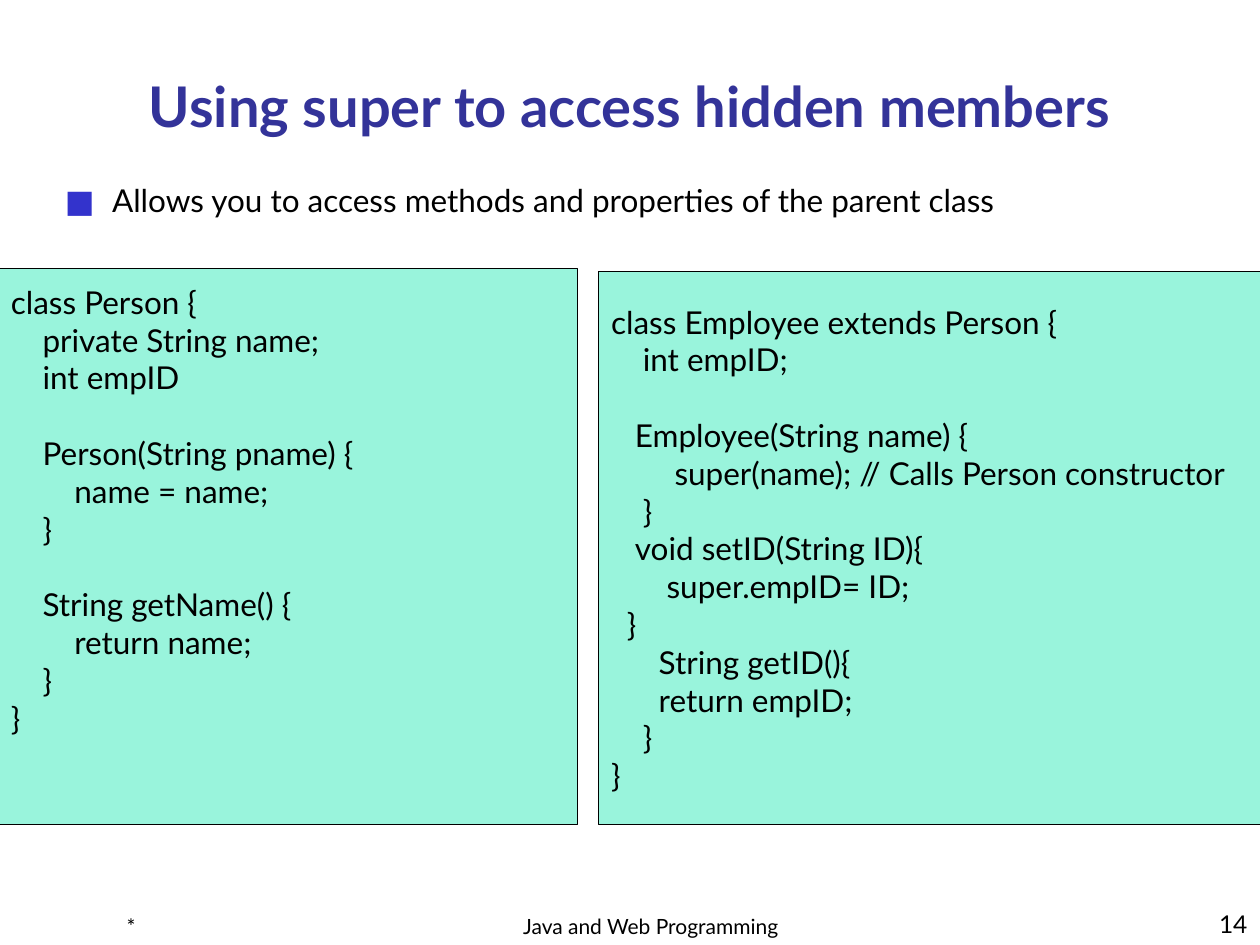
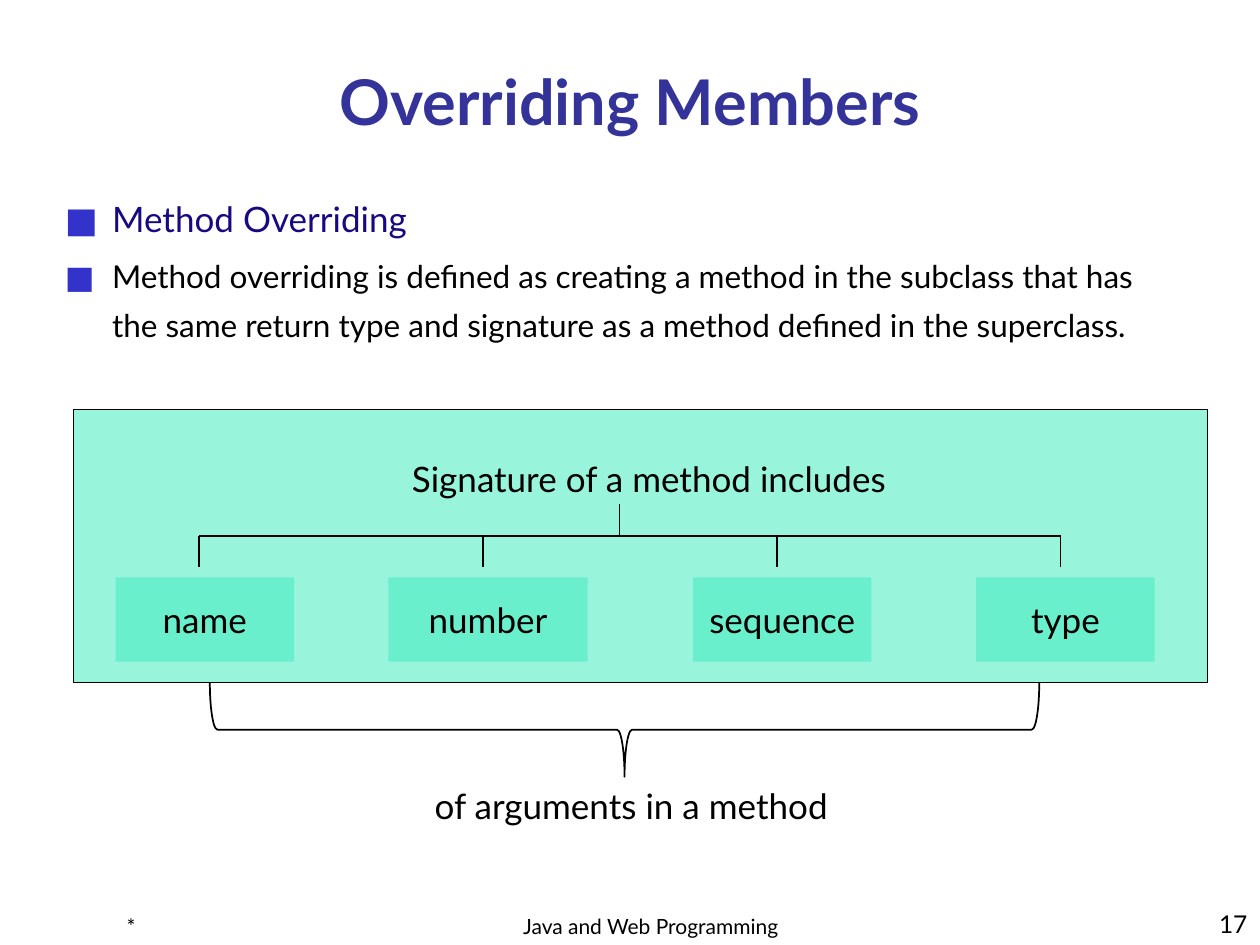
from lxml.etree import SubElement
from pptx import Presentation
from pptx.dml.color import RGBColor
from pptx.enum.shapes import MSO_CONNECTOR, MSO_SHAPE
from pptx.enum.text import MSO_ANCHOR, MSO_AUTO_SIZE, PP_ALIGN
from pptx.oxml.ns import qn
from pptx.util import Cm, Pt

# Shared look
FONT = "Lato"
BLACK, TITLE, HEADING = "000000", "333399", "170981"
BULLET, MINT = "3333CC", "00E4A8"
LEFT, CENTER, RIGHT = PP_ALIGN.LEFT, PP_ALIGN.CENTER, PP_ALIGN.RIGHT
TOP, MIDDLE, BOTTOM = MSO_ANCHOR.TOP, MSO_ANCHOR.MIDDLE, MSO_ANCHOR.BOTTOM
INDENT = 0.16      # width of one column of code, cm
CODE_LINE = 21.6   # height of one line of code, points

# Code listings: (columns of indent, text); None leaves a line free
PERSON = [
    (0, "class Person {"), (4, "private String name;"), (4, "int empID"),
    None,
    (4, "Person(String pname) {"), (8, "name = name;"), (4, "}"),
    None,
    (4, "String getName() {"), (8, "return name;"), (4, "}"), (0, "}"),
]
EMPLOYEE = [
    (0, "class Employee extends Person {"), (4, "int empID;"),
    None,
    (3, "Employee(String name) {"),
    (8, "super(name); // Calls Person constructor"), (4, "}"),
    (3, "void setID(String ID){"), (7, "super.empID= ID;"), (2, "}"),
    (6, "String getID(){"), (6, "return empID;"), (4, "}"), (0, "}"),
]

# Signature parts: name, left, width, branch position (cm, inside the panel)
PARTS = [
    ("name", 0.85, 3.6, 2.54),
    ("number", 6.35, 4.02, 8.26),
    ("sequence", 12.49, 3.6, 14.18),
    ("type", 18.2, 3.6, 19.9),
]


def color(value):
    return RGBColor.from_string(value)


def cm(*values):
    return [Cm(v) for v in values]


def add_run(p, text, size, ink=BLACK, bold=False):
    r = p.add_run()
    r.text = text
    r.font.name, r.font.size, r.font.bold = FONT, Pt(size), bold
    r.font.color.rgb = color(ink)


def set_frame(tf, anchor=TOP, left=0.25, top=0.13):
    tf.word_wrap = True
    tf.auto_size = MSO_AUTO_SIZE.NONE
    tf.vertical_anchor = anchor
    tf.margin_left, tf.margin_top = cm(left, top)
    tf.margin_right, tf.margin_bottom = cm(0.25, 0.13)
    return tf


def add_text(slide, box, text, size, align=CENTER, anchor=TOP):
    tf = set_frame(slide.shapes.add_textbox(*cm(*box)).text_frame, anchor)
    p = tf.paragraphs[0]
    p.alignment = align
    add_run(p, text, size)


def add_panel(slide, box, alpha, line=True):
    """Mint rectangle with the given opacity in percent."""
    sp = slide.shapes.add_shape(MSO_SHAPE.RECTANGLE, *cm(*box))
    sp.shadow.inherit = False
    sp.fill.solid()
    sp.fill.fore_color.rgb = color(MINT)
    tint = sp.element.spPr.find(".//" + qn("a:srgbClr"))
    SubElement(tint, qn("a:alpha")).set("val", str(alpha * 1000))
    if line:
        sp.line.color.rgb = color(BLACK)
        sp.line.width = Pt(0.75)
    else:
        sp.line.fill.background()
    return sp


def add_line(group, x1, y1, x2, y2):
    c = group.shapes.add_connector(MSO_CONNECTOR.STRAIGHT, *cm(x1, y1, x2, y2))
    c.line.color.rgb = color(BLACK)
    c.line.width = Pt(1)
    SubElement(c.element.spPr, qn("a:effectLst"))


# Slide frame: title and footer
def add_slide(prs, title, size, number):
    slide = prs.slides.add_slide(prs.slide_layouts[5])
    sp = slide.shapes.title
    sp.left, sp.top, sp.width, sp.height = cm(0, 0.89, 25.4, 2.03)
    p = set_frame(sp.text_frame, BOTTOM).paragraphs[0]
    p.alignment = CENTER
    add_run(p, title, size, TITLE, True)

    add_text(slide, (0, 17.78, 5.29, 1.27), "*", 12, CENTER, BOTTOM)
    add_text(slide, (9.1, 17.99, 8.04, 1.06), "Java and Web Programming",
             12, CENTER, BOTTOM)
    add_text(slide, (20.11, 17.78, 5.29, 1.27), number, 14, RIGHT, BOTTOM)
    return slide


# Bulleted text; items are (text, size, colour)
def add_bullets(slide, box, items, spacing):
    tf = set_frame(slide.shapes.add_textbox(*cm(*box)).text_frame)
    for i, item in enumerate(items):
        p = tf.add_paragraph() if i else tf.paragraphs[0]
        p.line_spacing = spacing
        p.space_before = Pt(3.6 if i else 0)
        pPr = p._p.get_or_add_pPr()
        pPr.set("marL", str(Cm(0.95)))
        pPr.set("indent", str(Cm(-0.95)))
        clr = SubElement(pPr, qn("a:buClr"))
        SubElement(clr, qn("a:srgbClr")).set("val", BULLET)
        SubElement(pPr, qn("a:buFont")).set("typeface", FONT)
        SubElement(pPr, qn("a:buChar")).set("char", "■")
        add_run(p, *item)


# Code listing in a panel
def add_code(slide, box, lines, anchor, top=0.13):
    tf = set_frame(add_panel(slide, box, 40).text_frame, anchor, top=top)
    p, gap = tf.paragraphs[0], 0
    for line in lines:
        if line is None:
            gap = CODE_LINE
            continue
        columns, text = line
        if p.runs:
            p = tf.add_paragraph()
        p.alignment = LEFT
        p.space_before = Pt(gap)
        p._p.get_or_add_pPr().set("marL", str(Cm(columns * INDENT)))
        add_run(p, text, 18)
        gap = 0


# Signature diagram: panel, tree of parts, brace and caption
def add_signature(slide, box):
    x, y, w, h = box
    tf = add_panel(slide, box, 40).text_frame
    p = set_frame(tf, left=0.6, top=0.97).paragraphs[0]
    p.alignment = CENTER
    add_run(p, "Signature of a method includes", 20)

    for name, left, width, _ in PARTS:
        sp = add_panel(slide, (x + left, y + 3.38, width, 1.7), 30, False)
        p = set_frame(sp.text_frame, MIDDLE).paragraphs[0]
        p.alignment = CENTER
        add_run(p, name, 20)

    tree = slide.shapes.add_group_shape()
    stem, bar, tip = y + 1.9, y + 2.54, y + 3.17
    branches = [x + part[3] for part in PARTS]
    add_line(tree, x + 11.01, stem, x + 11.01, bar)
    add_line(tree, branches[0], bar, branches[-1], bar)
    for branch in branches:
        add_line(tree, branch, bar, branch, tip)

    # The brace is upright before its quarter turn
    span, depth = 16.72, 1.9
    mid_x, mid_y = x + 11.11, y + h + depth / 2
    brace = slide.shapes.add_shape(
        MSO_SHAPE.RIGHT_BRACE,
        *cm(mid_x - depth / 2, mid_y - span / 2, depth, span))
    brace.rotation = 90
    brace.adjustments[0] = 0.08
    brace.shadow.inherit = False
    brace.fill.background()
    brace.line.color.rgb = color(BLACK)
    brace.line.width = Pt(1)
    add_text(slide, (x + 6.9, y + 7.42, 8.69, 1.11),
             "of arguments in a method", 20)


def super_slide(prs):
    slide = add_slide(prs, "Using super to access hidden members", 32, "14")
    add_bullets(slide, (1.06, 3.6, 22.44, 1.27), [
        ("Allows you to access methods and properties of the parent class",
         18, BLACK)], 0.9)
    add_code(slide, (-0.03, 5.41, 11.68, 11.22), PERSON, TOP, 0.29)
    add_code(slide, (12.07, 5.48, 13.39, 11.15), EMPLOYEE, MIDDLE)


def overriding_slide(prs):
    slide = add_slide(prs, "Overriding Members", 36, "17")
    add_bullets(slide, (1.06, 3.6, 22.86, 4.02), [
        ("Method Overriding", 20, HEADING),
        ("Method overriding is defined as creating a method in the subclass "
         "that has the same return type and signature as a method defined "
         "in the superclass.", 18, BLACK)], 1.3)
    add_signature(slide, (1.48, 8.26, 22.86, 5.5))


def main():
    prs = Presentation()
    prs.slide_width, prs.slide_height = cm(25.4, 19.05)
    super_slide(prs)
    overriding_slide(prs)
    prs.save("out.pptx")


if __name__ == "__main__":
    main()
